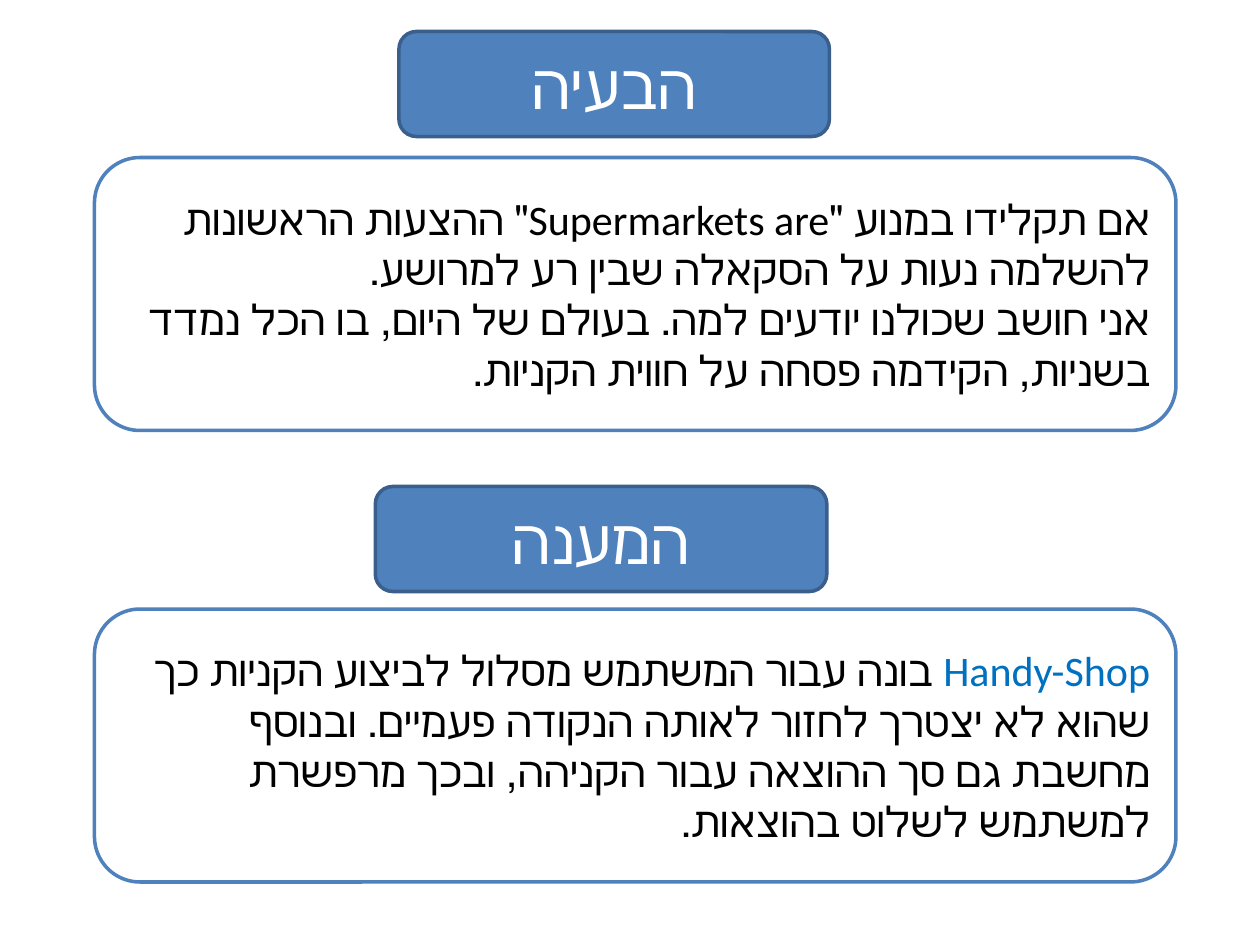
from pptx import Presentation
from pptx.dml.color import RGBColor
from pptx.enum.shapes import MSO_SHAPE
from pptx.enum.text import MSO_ANCHOR, PP_ALIGN
from pptx.util import Inches, Pt

ROUNDED = MSO_SHAPE.ROUNDED_RECTANGLE
MIDDLE = MSO_ANCHOR.MIDDLE
CENTER, RIGHT = PP_ALIGN.CENTER, PP_ALIGN.RIGHT
COLUMNS, ROWS = 120, 90
BLUE, DARK_BLUE, BRAND_BLUE = "4F81BD", "3A5F8C", "0070C0"
WHITE, BLACK = "FFFFFF", "000000"

PROBLEM = [
    [('אם תקלידו במנוע "Supermarkets are" ההצעות הראשונות '
      'להשלמה נעות על הסקאלה שבין רע למרושע.', BLACK)],
    [("אני חושב שכולנו יודעים למה. בעולם של היום, בו הכל נמדד "
      "בשניות, הקידמה פסחה על חווית הקניות.", BLACK)],
]
ANSWER = [
    [("Handy-Shop", BRAND_BLUE),
     (" בונה עבור המשתמש מסלול לביצוע הקניות כך שהוא לא יצטרך "
      "לחזור לאותה הנקודה פעמיים. ובנוסף מחשבת גם סך ההוצאה עבור "
      "הקניהה, ובכך מרפשרת למשתמש לשלוט בהוצאות.", BLACK)],
]


def color(hex_value):
    """Turn a hex string into a colour."""
    return RGBColor.from_string(hex_value)


class SlideBuilder:
    """Holds the style and the current slide."""

    font_name = "Calibri"
    heading_size, body_size = Pt(36), Pt(24)
    border = Pt(2)

    def __init__(self, deck):
        """Add a blank slide and measure its grid."""
        self.slide = deck.slides.add_slide(deck.slide_layouts[6])
        self.column = deck.slide_width / COLUMNS
        self.row = deck.slide_height / ROWS

    def box(self, column, row, columns, rows, fill, line):
        """Draw a rounded box and return its text frame."""
        box = self.slide.shapes.add_shape(
            ROUNDED, round(column * self.column), round(row * self.row),
            round(columns * self.column), round(rows * self.row))
        box.shadow.inherit = False
        box.fill.solid()
        box.fill.fore_color.rgb = color(fill)
        box.line.color.rgb = color(line)
        box.line.width = self.border
        box.text_frame.word_wrap = True
        box.text_frame.vertical_anchor = MIDDLE
        return box.text_frame

    def style(self, paragraph, size, alignment):
        """Set the font and alignment of a paragraph."""
        paragraph.font.name = self.font_name
        paragraph.font.size = size
        paragraph.alignment = alignment

    def heading(self, text, column, row, columns):
        """Draw a filled heading."""
        heading = self.box(column, row, columns, 10, BLUE, DARK_BLUE).paragraphs[0]
        heading.add_run().text = text
        self.style(heading, self.heading_size, CENTER)
        heading.font.color.rgb = color(WHITE)

    def panel(self, paragraphs, row):
        """Draw an outlined panel of right-to-left paragraphs."""
        frame = self.box(9, row, 103, 26, WHITE, BLUE)
        for index, parts in enumerate(paragraphs):
            paragraph = frame.add_paragraph() if index else frame.paragraphs[0]
            self.style(paragraph, self.body_size, RIGHT)
            paragraph._p.get_or_add_pPr().set("rtl", "1")
            for text, text_color in parts:
                run = paragraph.add_run()
                run.text = text
                run.font.color.rgb = color(text_color)


def main():
    """Build and save the slide."""
    deck = Presentation()
    deck.slide_width, deck.slide_height = Inches(10), Inches(7.5)
    builder = SlideBuilder(deck)
    builder.heading("הבעיה", 38, 3, 41)
    builder.panel(PROBLEM, 15)
    builder.heading("המענה", 35.75, 46.33, 43)
    builder.panel(ANSWER, 58)
    deck.save("out.pptx")


if __name__ == "__main__":
    main()
